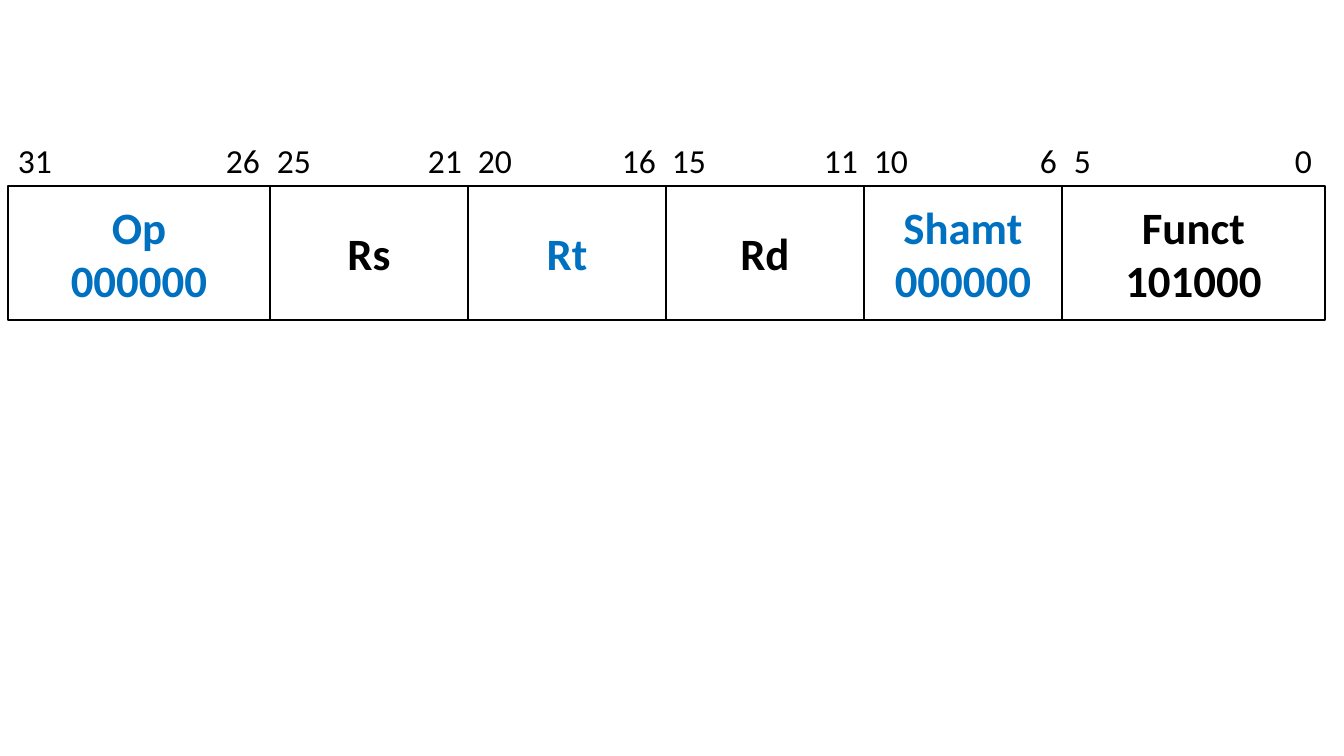
"""Build a slide showing the bit fields of a 32-bit register instruction."""
from lxml.etree import SubElement
from pptx import Presentation
from pptx.dml.color import RGBColor
from pptx.enum.shapes import MSO_SHAPE as Shape
from pptx.enum.text import MSO_ANCHOR as Anchor, PP_ALIGN as Align
from pptx.oxml.ns import qn
from pptx.util import Emu, Pt

BLACK = RGBColor(0x00, 0x00, 0x00)
BLUE = RGBColor(0x00, 0x70, 0xC0)
FONT = "Calibri"
PX_PER_INCH = 100.8


def px(length):
    return Emu(round(length * 914400 / PX_PER_INCH))


def add_run(paragraph, text, size, color, bold=False):
    run = paragraph.add_run()
    run.text = text
    run.font.name = FONT
    run.font.size = Pt(size)
    run.font.bold = bold
    run.font.color.rgb = color


LEFT = 8
INSET = 10
FIELD_TOP = 186
FIELD_HEIGHT = 134

# lines, colour, width, high bit, low bit, start of high bit, end of low bit
fields = [
    (["Op", "000000"], BLUE, 262, "31", "26", 18, 260),
    (["Rs"], BLACK, 198, "25", "21", 277, 462),
    (["Rt"], BLUE, 198, "20", "16", 478, 656),
    (["Rd"], BLACK, 198, "15", "11", 672, 858),
    (["Shamt", "000000"], BLUE, 198, "10", "6", 874, 1057),
    (["Funct", "101000"], BLACK, 263, "5", "0", 1074, 1312),
]

prs = Presentation()
prs.slide_width = px(1344)
prs.slide_height = px(756)
slide = prs.slides.add_slide(prs.slide_layouts[6])

field_left = LEFT
for lines, color, width, *_ in fields:
    field = slide.shapes.add_shape(
        Shape.RECTANGLE, px(field_left), px(FIELD_TOP), px(width), px(FIELD_HEIGHT))
    field.shadow.inherit = False
    field.fill.background()
    field.line.color.rgb = BLACK
    field.line.width = Pt(1)
    frame = field.text_frame
    frame.word_wrap = False
    frame.vertical_anchor = Anchor.MIDDLE
    for index, line in enumerate(lines):
        paragraph = frame.add_paragraph() if index else frame.paragraphs[0]
        paragraph.alignment = Align.CENTER
        add_run(paragraph, line, 32, color, bold=True)
    field_left += width

bit_numbers = slide.shapes.add_textbox(px(LEFT), px(135), px(field_left - LEFT), px(50))
bit_frame = bit_numbers.text_frame
bit_frame.word_wrap = True
bit_frame.margin_left = bit_frame.margin_right = px(INSET)
bit_line = bit_frame.paragraphs[0]
tab_list = SubElement(bit_line._p.get_or_add_pPr(), qn("a:tabLst"))
for *_, high_start, low_end in fields:
    for position, side in ((high_start, "l"), (low_end, "r")):
        if position > LEFT + INSET:
            SubElement(tab_list, qn("a:tab"), pos=str(px(position - LEFT - INSET)), algn=side)
bits = [bit for _, _, _, high, low, *_ in fields for bit in (high, low)]
add_run(bit_line, "\t".join(bits), 24, BLACK)

prs.save("out.pptx")
